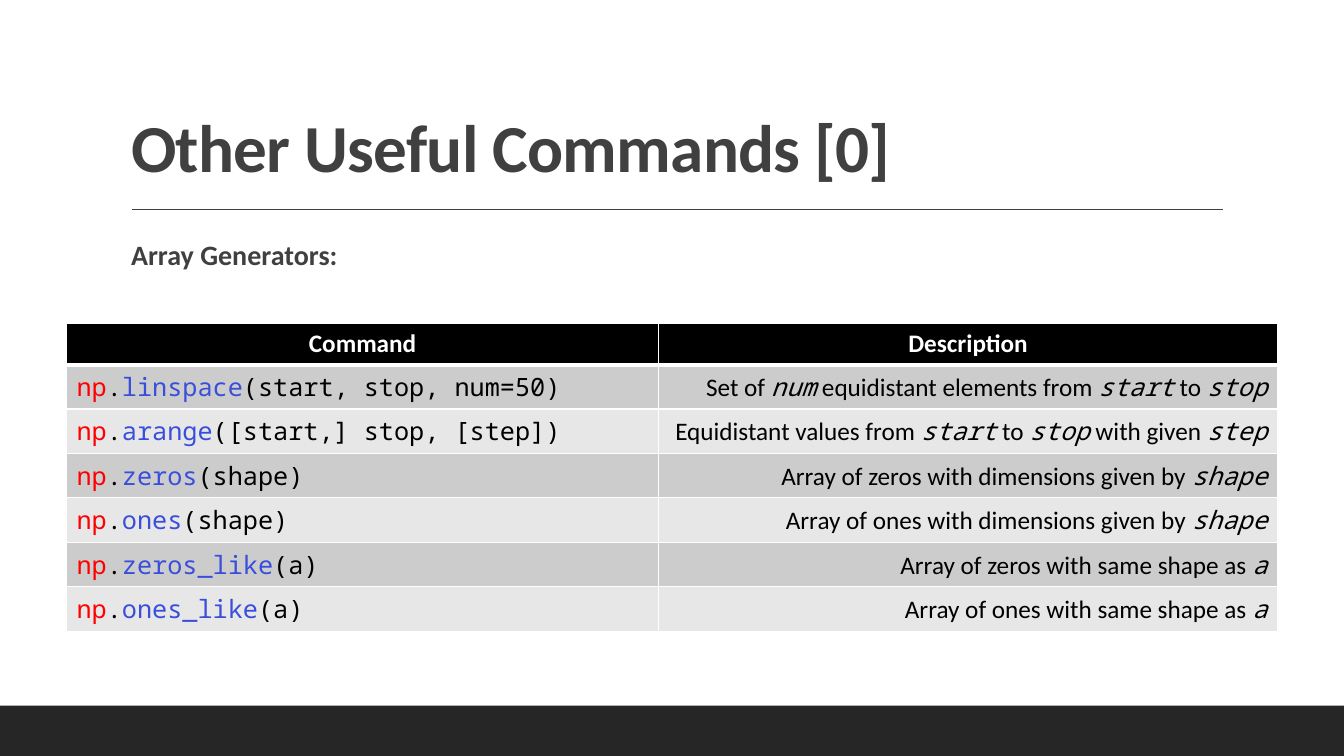
from dataclasses import dataclass

from lxml.etree import SubElement
from pptx import Presentation
from pptx.dml.color import RGBColor
from pptx.enum.shapes import MSO_CONNECTOR, MSO_SHAPE
from pptx.enum.text import MSO_ANCHOR, MSO_AUTO_SIZE, PP_ALIGN
from pptx.oxml.ns import qn
from pptx.util import Pt


@dataclass(frozen=True)
class Theme:
    sans: str = "Calibri"
    mono: str = "Noto Sans Mono"
    title: int = 48
    lead: int = 20
    cell: int = 18
    ink: str = "404040"
    bar: str = "262626"
    black: str = "000000"
    white: str = "FFFFFF"
    red: str = "FF0000"
    blue: str = "394EDB"
    bands: tuple = ("CCCCCC", "E7E7E7")


THEME = Theme()
WIDE, HIGH = 960, 540

ROWS = [  # module, function, arguments, description with *code* words
    ("np", "linspace", "(start, stop, num=50)",
     "Set of *num* equidistant elements from *start* to *stop*"),
    ("np", "arange", "([start,] stop, [step])",
     "Equidistant values from *start* to *stop* with given *step*"),
    ("np", "zeros", "(shape)", "Array of zeros with dimensions given by *shape*"),
    ("np", "ones", "(shape)", "Array of ones with dimensions given by *shape*"),
    ("np", "zeros_like", "(a)", "Array of zeros with same shape as *a*"),
    ("np", "ones_like", "(a)", "Array of ones with same shape as *a*"),
]


def color(code):
    return RGBColor.from_string(code)


def write(para, text, font=THEME.sans, size=THEME.cell, ink=THEME.black,
          bold=False, slant=False):
    """Add one formatted run to a paragraph."""
    run = para.add_run()
    run.text = text
    face = run.font
    face.name, face.size, face.bold, face.italic = font, Pt(size), bold, slant
    face.color.rgb = color(ink)
    return run


def place(shape, box):
    shape.left, shape.top, shape.width, shape.height = map(Pt, box)


def edge(cell, side, width):
    """Draw a white border; call it before the cell is filled."""
    line = SubElement(cell._tc.get_or_add_tcPr(), qn(f"a:ln{side}"),
                      w=str(Pt(width)))
    fill = SubElement(line, qn("a:solidFill"))
    SubElement(fill, qn("a:srgbClr"), val=THEME.white)


def head(slide, box):
    """Place the title, with its rule below."""
    left, top, width, height = box
    title = slide.shapes.title
    place(title, box)
    frame = title.text_frame
    frame.auto_size = MSO_AUTO_SIZE.NONE
    frame.vertical_anchor = MSO_ANCHOR.BOTTOM
    para = frame.paragraphs[0]
    para.alignment = PP_ALIGN.LEFT
    para.line_spacing = 0.9
    run = write(para, "Other Useful Commands [0]", size=THEME.title,
                ink=THEME.ink, bold=True)
    run.font._element.set("spc", "-50")

    level = Pt(top + height + 12.7)
    rule = slide.shapes.add_connector(MSO_CONNECTOR.STRAIGHT, Pt(left + 8),
                                      level, Pt(left + width - 5), level)
    rule.line.color.rgb = color(THEME.ink)
    rule.line.width = Pt(1)
    SubElement(rule._element.spPr, qn("a:effectLst"))


def lead(slide, box):
    body = slide.placeholders[1]
    place(body, box)
    frame = body.text_frame
    frame.auto_size = MSO_AUTO_SIZE.NONE
    frame.vertical_anchor = MSO_ANCHOR.TOP
    frame.margin_left = frame.margin_right = 0
    para = frame.paragraphs[0]
    para.space_before, para.space_after = Pt(12), Pt(2)
    props = para._p.get_or_add_pPr()
    props.set("marL", str(Pt(7.2)))
    props.set("indent", "0")
    SubElement(props, qn("a:buNone"))
    write(para, "Array Generators:", size=THEME.lead, ink=THEME.ink, bold=True)


def grid(slide, box):
    """Place the table of commands, header row first."""
    left, top, width, height = box
    table = slide.shapes.add_table(len(ROWS) + 1, 2, *map(Pt, box)).table
    table.horz_banding = False
    first = 29.5
    for row in table.rows:
        row.height = Pt((height - first) / len(ROWS))
    table.rows[0].height = Pt(first)
    split = 423
    table.columns[0].width, table.columns[1].width = Pt(split), Pt(width - split)

    for num, row in enumerate(table.rows):
        fill = THEME.bands[(num - 1) % 2] if num else THEME.black
        for cell in row.cells:
            for side in "LRTB":
                thick = (num, side) in ((0, "B"), (1, "T"))
                edge(cell, side, 3 if thick else 1)
            cell.fill.solid()
            cell.fill.fore_color.rgb = color(fill)

    for cell, name in zip(table.rows[0].cells, ("Command", "Description")):
        para = cell.text_frame.paragraphs[0]
        para.alignment = PP_ALIGN.CENTER
        write(para, name, ink=THEME.white, bold=True)

    for num, (module, func, args, about) in enumerate(ROWS, 1):
        code, note = (cell.text_frame.paragraphs[0]
                      for cell in table.rows[num].cells)
        for text, ink in ((module, THEME.red), (".", THEME.black),
                          (func, THEME.blue), (args, THEME.black)):
            write(code, text, font=THEME.mono, ink=ink)
        note.alignment = PP_ALIGN.RIGHT
        for pos, text in enumerate(about.split("*")):
            if text:
                term = pos % 2 == 1
                write(note, text, font=THEME.mono if term else THEME.sans,
                      slant=term)


def foot(slide, box):
    bar = slide.shapes.add_shape(MSO_SHAPE.RECTANGLE, *map(Pt, box))
    bar.shadow.inherit = False
    bar.fill.solid()
    bar.fill.fore_color.rgb = color(THEME.bar)
    bar.line.fill.background()


def main():
    deck = Presentation()
    deck.slide_width, deck.slide_height = Pt(WIDE), Pt(HIGH)
    slide = deck.slides.add_slide(deck.slide_layouts[1])
    foot(slide, (0, HIGH - 36, WIDE, 36))
    head(slide, (86.4, 22.5, 792, 114.5))
    lead(slide, (86.4, 166.3, 792, 36))
    grid(slide, (47.5, 231, 865, 219.7))
    deck.save("out.pptx")


if __name__ == "__main__":
    main()
